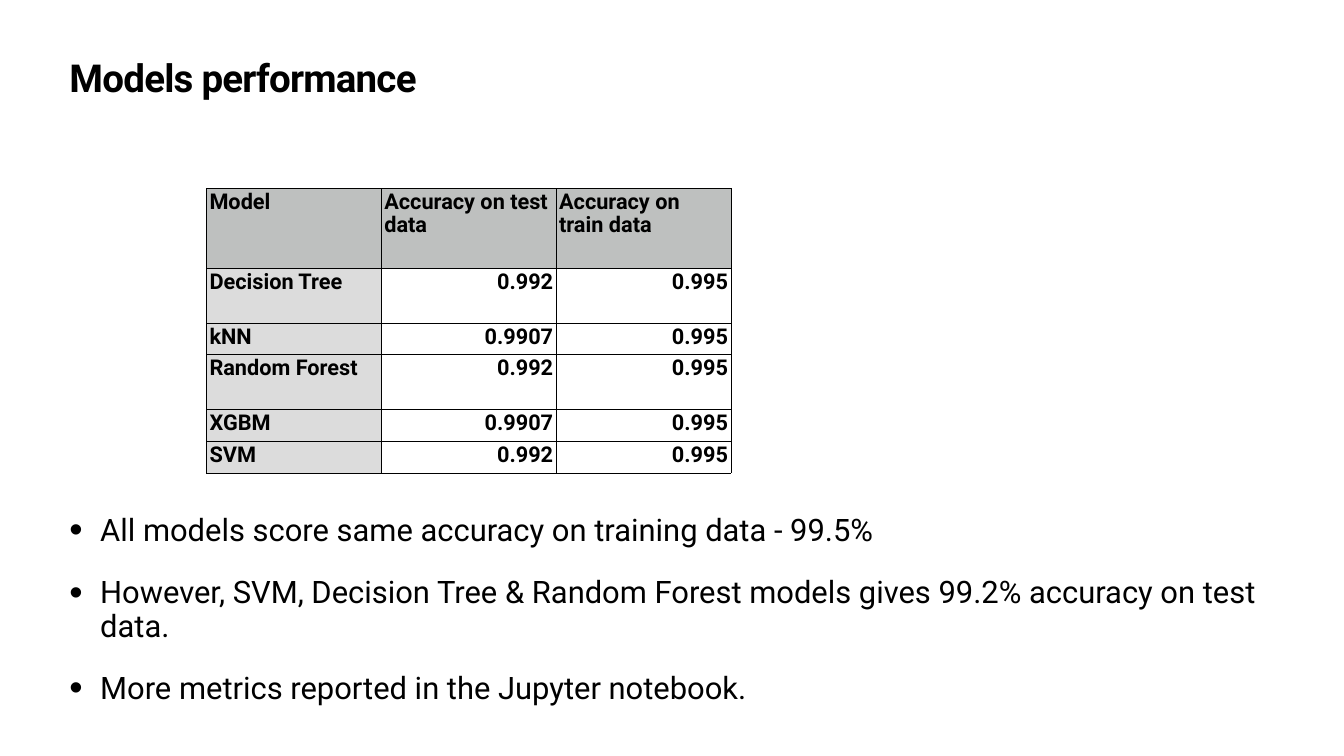
from lxml.etree import SubElement
from pptx import Presentation
from pptx.dml.color import RGBColor
from pptx.enum.text import MSO_ANCHOR, MSO_AUTO_SIZE, PP_ALIGN
from pptx.oxml.ns import qn
from pptx.util import Cm, Pt

INSETS = {f"margin_{side}": Cm(0.15) for side in ("left", "right", "top", "bottom")}
THIN, THICK = 0.35, 0.75


def color(hex_value):
    return RGBColor.from_string(hex_value)


def apply(target, values):
    for name, value in values.items():
        setattr(target, name, value)


class SlideBuilder:
    font_name, ink = "Roboto", "000000"
    header_fill, label_fill, value_fill = "BEC0BF", "DCDCDC", "FFFFFF"

    def __init__(self, slide):
        self.slide = slide

    def add_text(self, paragraph, text, size, bold=False, **layout):
        apply(paragraph, layout)
        run = paragraph.add_run()
        run.text = text
        apply(run.font, {"name": self.font_name, "size": Pt(size), "bold": bold})
        run.font.color.rgb = color(self.ink)
        return run

    def place(self, placeholder, left, top, width, height):
        apply(placeholder, {"left": Cm(left), "top": Cm(top),
                            "width": Cm(width), "height": Cm(height)})
        frame = placeholder.text_frame
        apply(frame, INSETS | {"word_wrap": True, "auto_size": MSO_AUTO_SIZE.NONE,
                               "vertical_anchor": MSO_ANCHOR.TOP})
        return frame

    def title(self, text, *box):
        frame = self.place(self.slide.shapes.title, *box)
        run = self.add_text(frame.paragraphs[0], text, 55, True,
                            alignment=PP_ALIGN.LEFT, line_spacing=0.8)
        run.font._element.set("spc", "-110")

    def bullets(self, findings, *box):
        frame = self.place(self.slide.placeholders[1], *box)
        for index, finding in enumerate(findings):
            paragraph = frame.add_paragraph() if index else frame.paragraphs[0]
            properties = paragraph._p.get_or_add_pPr()
            properties.set("marL", str(Cm(1.55)))
            properties.set("indent", str(-Cm(1.55)))
            SubElement(properties, qn("a:buSzPct"), val="123000")
            SubElement(properties, qn("a:buChar"), char="•")
            self.add_text(paragraph, finding, 44.2, alignment=PP_ALIGN.LEFT,
                          line_spacing=0.9, space_before=Pt(41 if index else 0))

    def borders(self, cell, widths):
        properties = cell._tc.get_or_add_tcPr()
        for side, width in widths.items():
            line = SubElement(properties, qn(f"a:ln{side}"), w=str(Pt(width)))
            fill = SubElement(line, qn("a:solidFill"))
            SubElement(fill, qn("a:srgbClr"), val=self.ink)

    def table(self, rows, left, top, column_width, row_heights):
        columns = len(rows[0])
        table = self.slide.shapes.add_table(
            len(rows), columns, Cm(left), Cm(top),
            Cm(column_width * columns), Cm(sum(row_heights))).table
        apply(table, {"first_row": False, "horz_banding": False})
        for column in table.columns:
            column.width = Cm(column_width)
        for r, (row, height) in enumerate(zip(rows, row_heights)):
            table.rows[r].height = Cm(height)
            for c, text in enumerate(row):
                cell = table.cell(r, c)
                is_value = r > 0 and c > 0
                # Heavier rules set off the header row and the label column
                self.borders(cell, {
                    "L": THICK if r and c == 1 else THIN,
                    "R": THICK if r and c == 0 else THIN,
                    "T": THICK if r == 1 else THIN,
                    "B": THICK if r == 0 else THIN})
                apply(cell, INSETS | {"vertical_anchor": MSO_ANCHOR.TOP})
                cell.fill.solid()
                cell.fill.fore_color.rgb = color(
                    self.header_fill if r == 0 else
                    self.value_fill if is_value else self.label_fill)
                self.add_text(cell.text_frame.paragraphs[0], text, 31, True,
                              alignment=PP_ALIGN.RIGHT if is_value else PP_ALIGN.LEFT,
                              line_spacing=0.9)


def main():
    deck = Presentation()
    apply(deck, {"slide_width": Cm(67.74), "slide_height": Cm(38.1)})
    builder = SlideBuilder(deck.slides.add_slide(deck.slide_layouts[1]))

    # Heading
    builder.title("Models performance", 3.35, 3, 61.04, 3.99)

    # Findings
    builder.bullets([
        "All models score same accuracy on training data - 99.5%",
        "However, SVM, Decision Tree & Random Forest models gives 99.2% accuracy on test data.",
        "More metrics reported in the Jupyter notebook.",
    ], 3.35, 25.8, 61.04, 9.98)

    # Accuracy per model
    accuracies = [
        ("Model", "Accuracy on test data", "Accuracy on train data"),
        ("Decision Tree", "0.992", "0.995"),
        ("kNN", "0.9907", "0.995"),
        ("Random Forest", "0.992", "0.995"),
        ("XGBM", "0.9907", "0.995"),
        ("SVM", "0.992", "0.995"),
    ]
    short, tall = 1.6, 2.77
    builder.table(accuracies, 10.41, 9.5, 8.81, [4, tall, short, tall, short, short])

    deck.save("out.pptx")


if __name__ == "__main__":
    main()
